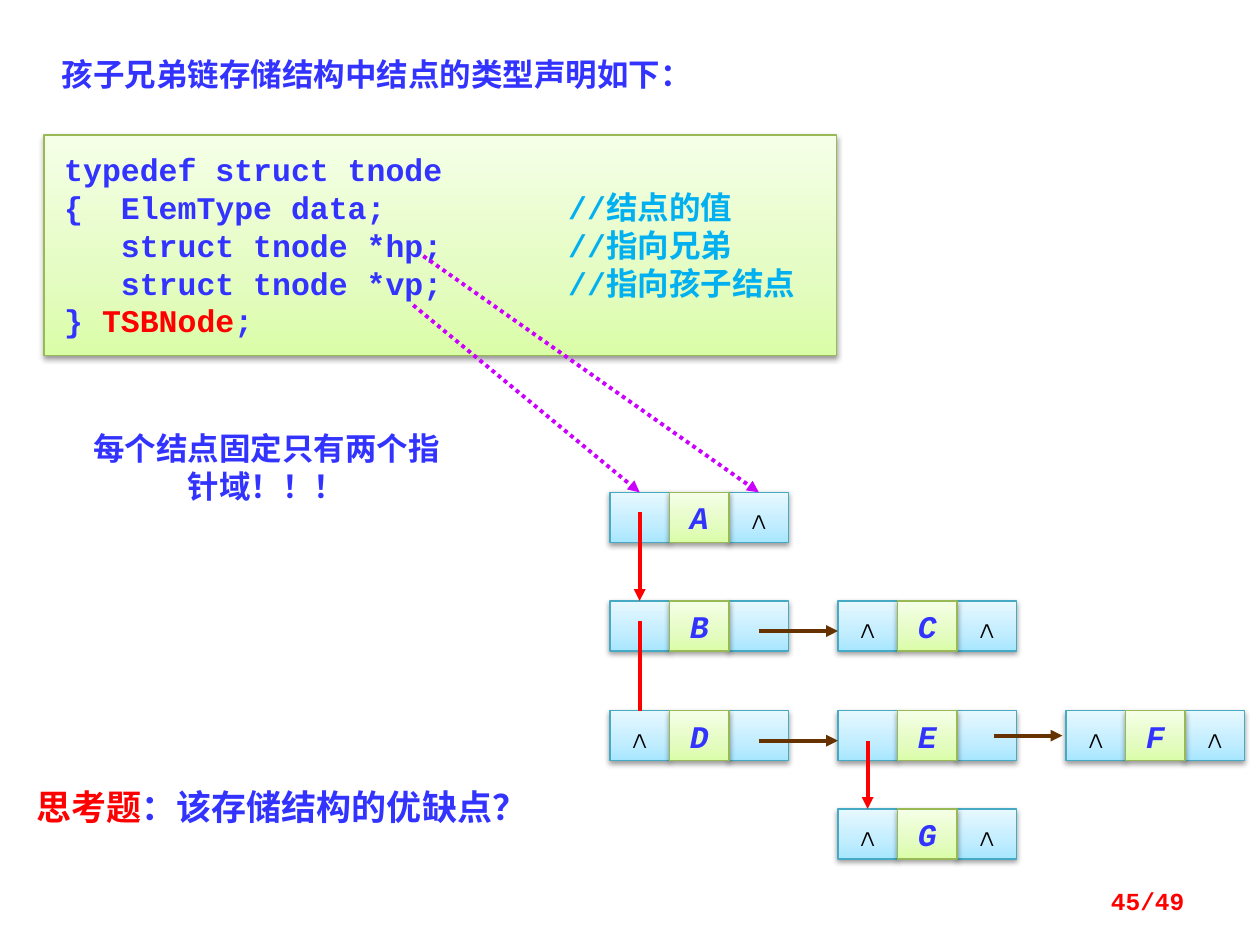
from dataclasses import dataclass

from lxml import etree
from pptx import Presentation
from pptx import util as u
from pptx.dml.color import RGBColor
from pptx.enum import dml, shapes, text
from pptx.oxml.ns import qn


@dataclass(frozen=True)
class Theme:
    blue: str = "3333FF"
    red: str = "FF0000"
    sky: str = "00B0F0"
    brown: str = "663300"
    violet: str = "CC00FF"
    black: str = "000000"
    green_panel: tuple = ("98B955", ("DAFDA7", "E4FCC2", "F5FFE7"))
    blue_panel: tuple = ("46AAC5", ("A7E6FF", "C1EDFF", "E7F8FF"))
    mono: str = "Courier New"
    serif: str = "Times New Roman"
    sans: str = "Noto Sans CJK SC"
    sans_alt: str = "Noto Sans CJK JP"
    body: int = 18
    question: int = 20
    footer: int = 14


THEME = Theme()
WIDTH, HEIGHT = u.Inches(10), u.Inches(7.5)

# Linked nodes, in percent of the slide; each node is three cells wide.
COLUMNS = [48.4 + 18.1 * column for column in range(3)]
ROWS = (52.1, 63.6, 75.2, 85.6)
CELL_WIDTH, CELL_HEIGHT = 4.73, 5.3
NULL = "∧"
NODES = {  # name: (column, row, child cell, sibling cell)
    "A": (0, 0, "", NULL),
    "B": (0, 1, "", ""),
    "C": (1, 1, NULL, NULL),
    "D": (0, 2, NULL, ""),
    "E": (1, 2, "", ""),
    "F": (2, 2, NULL, NULL),
    "G": (1, 3, NULL, NULL),
}
CHILD, SIBLING = 0.5, 2.5  # cell centres, in cells from the node's left edge


def across(percent):
    return round(WIDTH * percent / 100)


def down(percent):
    return round(HEIGHT * percent / 100)


def frame(left, top, width, height):
    return across(left), down(top), across(width), down(height)


def add_xml(parent, tag, **attributes):
    return etree.SubElement(parent, qn(tag), attributes)


def add_span(para, words, *, size=THEME.body, font=THEME.mono, asian=THEME.sans,
             color=THEME.blue, bold=True, italic=False):
    span = para.add_run()
    span.text = words
    span.font.size = u.Pt(size)
    span.font.name = font
    span.font.bold = bold
    span.font.italic = italic
    span.font.color.rgb = RGBColor.from_string(color)
    if asian:
        add_xml(span.font._element, "a:ea", typeface=asian)


def write(box, lines, *, align=text.PP_ALIGN.LEFT, anchor=text.MSO_ANCHOR.TOP,
          wrap=True, tab=None, **style):
    """Fill a box with lines, each a list of (words, style overrides) pairs."""
    body = box.text_frame
    body.word_wrap = wrap
    body.vertical_anchor = anchor
    for index, spans in enumerate(lines):
        para = body.add_paragraph() if index else body.paragraphs[0]
        para.alignment = align
        if tab:
            stops = add_xml(para._p.get_or_add_pPr(), "a:tabLst")
            add_xml(stops, "a:tab", pos=str(tab), algn="l")
        for words, overrides in spans:
            add_span(para, words, **{**style, **overrides})


def add_label(page, place, spans, **style):
    box = page.shapes.add_textbox(*frame(*place))
    write(box, [spans], **style)


def add_panel(page, place, palette):
    """Rectangle with a three-stop vertical gradient and a soft shadow."""
    edge, stops = palette
    panel = page.shapes.add_shape(shapes.MSO_SHAPE.RECTANGLE, *frame(*place))
    panel.line.color.rgb = RGBColor.from_string(edge)
    panel.line.width = u.Pt(0.75)
    panel.fill.gradient()
    panel.fill.gradient_angle = 90
    properties = panel._element.spPr
    stop_list = properties.find(".//" + qn("a:gsLst"))
    stop_list.clear()
    for position, color in zip((0, 35, 100), stops):
        stop = add_xml(stop_list, "a:gs", pos=str(position * 1000))
        add_xml(stop, "a:srgbClr", val=color)
    panel.shadow.inherit = False
    shadow = add_xml(properties.find(qn("a:effectLst")), "a:outerShdw",
                     blurRad="40000", dist="20000", dir="5400000", rotWithShape="0")
    shade = add_xml(shadow, "a:srgbClr", val=THEME.black)
    add_xml(shade, "a:alpha", val="38000")
    return panel


def add_node(page, name, column, row, child, sibling):
    centred = dict(align=text.PP_ALIGN.CENTER, anchor=text.MSO_ANCHOR.MIDDLE, wrap=False)
    pointer = dict(palette=THEME.blue_panel, color=THEME.black, asian=None)
    value = dict(palette=THEME.green_panel, color=THEME.blue, italic=True)
    for cell, words, look in ((0, child, pointer), (2, sibling, pointer), (1, name, value)):
        style = dict(look)
        place = (COLUMNS[column] + cell * CELL_WIDTH, ROWS[row], CELL_WIDTH, CELL_HEIGHT)
        panel = add_panel(page, place, style.pop("palette"))
        if words:
            write(panel, [[(words, {})]], **centred, **style)


def spot(name, cells, share):
    """Point in a node: cells from its left edge, share of its height."""
    column, row = NODES[name][:2]
    return COLUMNS[column] + cells * CELL_WIDTH, ROWS[row] + share * CELL_HEIGHT


def add_link(page, start, end, color, *, head=True, dotted=False):
    link = page.shapes.add_connector(
        shapes.MSO_CONNECTOR.STRAIGHT,
        across(start[0]), down(start[1]), across(end[0]), down(end[1]))
    link.line.color.rgb = RGBColor.from_string(color)
    link.line.width = u.Pt(2.25)
    if dotted:
        link.line.dash_style = dml.MSO_LINE.ROUND_DOT
    if head:
        add_xml(link.line._get_or_add_ln(), "a:tailEnd", type="triangle")
    add_xml(link._element.spPr, "a:effectLst")


def add_code(page):
    panel = add_panel(page, (3.5, 14.3, 62.9, 23.3), THEME.green_panel)
    body = panel.text_frame
    body.margin_left = body.margin_right = u.Inches(0.16)
    body.margin_top = body.margin_bottom = u.Inches(0.12)
    fields = (("{  ElemType data;", "//结点的值"),
              ("   struct tnode *hp;", "//指向兄弟"),
              ("   struct tnode *vp;", "//指向孩子结点"))
    lines = [[("typedef struct tnode", {})]]
    lines += [[(code + "\t", {}), (remark, dict(color=THEME.sky))] for code, remark in fields]
    lines.append([("} ", {}), ("TSBNode", dict(color=THEME.red)), (";", {})])
    write(panel, lines, tab=u.Inches(4))


def add_links(page):
    for parent, child, share, head in (("A", "B", 0.4, True), ("B", "D", 0.4, False),
                                       ("E", "G", 0.6, True)):
        add_link(page, spot(parent, CHILD, share), spot(child, CHILD, 0), THEME.red, head=head)
    for left, right, leave, reach, share in (("B", "C", SIBLING, 0, 0.6),
                                             ("D", "E", SIBLING, 0, 0.6),
                                             ("E", "F", 2.62, -0.06, 0.5)):
        add_link(page, spot(left, leave, share), spot(right, reach, share), THEME.brown)
    for start, cells in (((32.8, 32.3), CHILD), ((33.6, 27.1), SIBLING)):
        add_link(page, start, spot("A", cells, 0), THEME.violet, dotted=True)


def main():
    deck = Presentation()
    deck.slide_width, deck.slide_height = WIDTH, HEIGHT
    page = deck.slides.add_slide(deck.slide_layouts[6])

    add_code(page)
    add_label(page, (1.9, 82.5, 51.2, 5.9),
              [("思考题", dict(color=THEME.red)), ("：", {}),
               ("该存储结构的优缺点？", dict(font=THEME.serif))],
              size=THEME.question, font=THEME.sans)
    add_label(page, (3.9, 5.2, 69.9, 5.3),
              [("孩子兄弟链存储结构中结点的类型声明如下：", {})], font=THEME.serif)
    add_label(page, (6.2, 44.8, 29.9, 9.5), [("每个结点固定只有两个指针域！！！", {})],
              font=THEME.sans_alt, asian=THEME.sans_alt, align=text.PP_ALIGN.CENTER)
    for name, layout in NODES.items():
        add_node(page, name, *layout)
    add_links(page)
    add_label(page, (71.7, 92.7, 23.3, 5.3), [("45/49", {})], size=THEME.footer,
              color=THEME.red, align=text.PP_ALIGN.RIGHT, anchor=text.MSO_ANCHOR.MIDDLE)

    deck.save("out.pptx")


if __name__ == "__main__":
    main()
